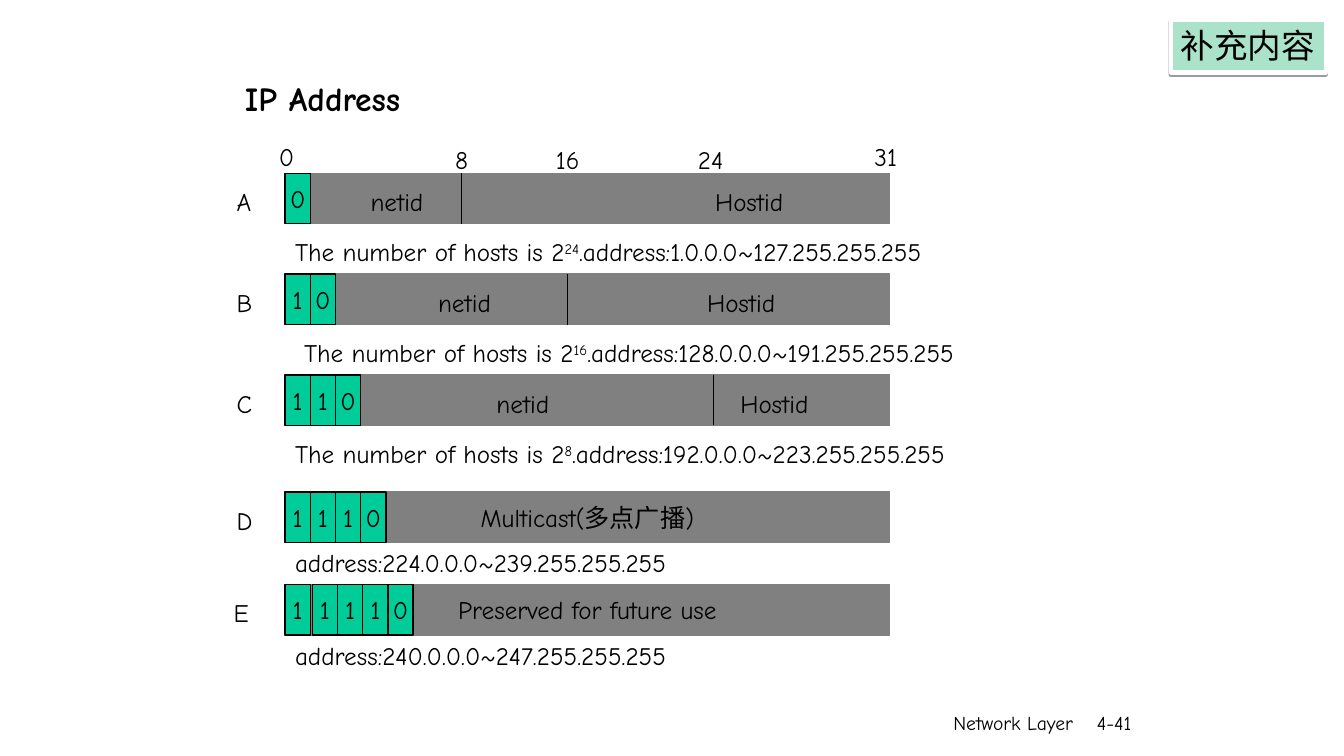
from dataclasses import dataclass

from lxml import etree
from pptx import Presentation
from pptx.dml.color import RGBColor
from pptx.enum.shapes import MSO_CONNECTOR, MSO_SHAPE
from pptx.enum.text import MSO_ANCHOR, MSO_AUTO_SIZE, PP_ALIGN
from pptx.oxml.ns import qn
from pptx.util import Inches, Pt

RECTANGLE = MSO_SHAPE.RECTANGLE
STRAIGHT = MSO_CONNECTOR.STRAIGHT
TOP, MIDDLE = MSO_ANCHOR.TOP, MSO_ANCHOR.MIDDLE
LEFT, CENTER, RIGHT = PP_ALIGN.LEFT, PP_ALIGN.CENTER, PP_ALIGN.RIGHT
NO_RESIZE = MSO_AUTO_SIZE.NONE

COLORS = {
    "text": "000000",
    "bar": "808080",
    "bit": "00CC99",
    "tag": "AAE2CA",
    "tag_line": "FFFFFF",
}
LATIN_FONT, TAG_FONT = "Comic Neue", "Arial"
BAR_LEFT, BAR_WIDTH, BAR_HEIGHT, BIT_WIDTH = 2.83, 6, 0.5, 0.25
HOSTS = "The number of hosts is 2"


@dataclass
class AddressClass:
    """One address class: its bar, prefix bits, fields and note."""
    name: str
    top: float
    bits: str
    note: list
    note_top: float
    divider: float = 0
    fields: tuple = ()
    usage: str = ""
    name_left: float = 2.25
    note_left: float = BAR_LEFT
    bit_shift: float = 0


ADDRESS_CLASSES = [
    AddressClass("A", 1.72, "0", [HOSTS, "24", ".address:1.0.0.0~127.255.255.255"], 2.3,
                 divider=4.58, fields=(("netid", 3.58), ("Hostid", 7))),
    AddressClass("B", 2.72, "10", [HOSTS, "16", ".address:128.0.0.0~191.255.255.255"], 3.3,
                 divider=5.63, fields=(("netid", 4.25), ("Hostid", 6.92)), note_left=2.92),
    AddressClass("C", 3.72, "110", [HOSTS, "8", ".address:192.0.0.0~223.255.255.255"], 4.3,
                 divider=7.08, fields=(("netid", 4.83), ("Hostid", 7.25))),
    AddressClass("D", 4.88, "1110", ["address:224.0.0.0~239.255.255.255"], 5.38,
                 usage="Multicast(多点广播)"),
    AddressClass("E", 5.8, "11110", ["address:240.0.0.0~247.255.255.255"], 6.3,
                 usage="Preserved for future use", name_left=2.22, bit_shift=0.02),
]
BIT_POSITIONS = [("0", 2.67, 1.35), ("8", 4.42, 1.38), ("16", 5.42, 1.38),
                 ("24", 6.83, 1.38), ("31", 8.58, 1.35)]


def color(name):
    """Return the named colour."""
    return RGBColor.from_string(COLORS[name])


def add_shadow(properties, distance, alpha, angle):
    """Append a hard black outer shadow to shape or run properties."""
    effects = etree.Element(qn("a:effectLst"))
    shadow = etree.SubElement(effects, qn("a:outerShdw"), blurRad="0",
                              dist=str(Pt(distance)), dir=str(angle * 60000))
    black = etree.SubElement(shadow, qn("a:srgbClr"), val=COLORS["text"])
    etree.SubElement(black, qn("a:alpha"), val=str(alpha * 1000))
    fill = properties.find(qn("a:solidFill"))
    outline = properties.find(qn("a:ln"))
    (fill if outline is None else outline).addnext(effects)


def write_text(shape, runs, size=18, align=LEFT, anchor=TOP, wrap=True, font=LATIN_FONT):
    """Write runs into a shape, raising every second one."""
    frame = shape.text_frame
    frame.word_wrap = wrap
    frame.auto_size = NO_RESIZE
    frame.vertical_anchor = anchor
    paragraph = frame.paragraphs[0]
    paragraph.alignment = align
    for index, text in enumerate(runs):
        run = paragraph.add_run()
        run.text = text
        run.font.size = Pt(size)
        run.font.name = font
        run.font.color.rgb = color("text")
        if index % 2:
            run.font._element.set("baseline", "30000")
    return paragraph


def add_label(slide, runs, left, top, width=1.5, height=0.4, **style):
    """Add a text box."""
    box = slide.shapes.add_textbox(Inches(left), Inches(top), Inches(width), Inches(height))
    write_text(box, runs, **style)


def add_box(slide, left, top, width, height, fill, line, line_width=1):
    """Add a filled and outlined rectangle."""
    box = slide.shapes.add_shape(RECTANGLE, Inches(left), Inches(top),
                                 Inches(width), Inches(height))
    box.fill.solid()
    box.fill.fore_color.rgb = color(fill)
    box.line.color.rgb = color(line)
    box.line.width = Pt(line_width)
    return box


def add_divider(slide, left, top):
    """Add the vertical line between the netid and Hostid fields."""
    divider = slide.shapes.add_connector(STRAIGHT, Inches(left), Inches(top),
                                         Inches(left), Inches(top + BAR_HEIGHT))
    divider.line.color.rgb = color("text")
    divider.line.width = Pt(1)
    etree.SubElement(divider._element.spPr, qn("a:effectLst"))


def add_title(slide):
    """Place and format the title."""
    title = slide.shapes.title
    title.left, title.top = Inches(2.33), Inches(0.72)
    title.width, title.height = Inches(3.83), Inches(0.5)
    run = write_text(title, ["IP Address"], size=24).runs[0]
    run.font.bold = True
    add_shadow(run.font._element, 2, 50, 45)


def add_address_class(slide, row):
    """Draw one address class with its name, bar, bits, fields and note."""
    bar = add_box(slide, BAR_LEFT, row.top, BAR_WIDTH, BAR_HEIGHT, "bar", "bar")
    bar.shadow.inherit = False
    if row.usage:
        write_text(bar, [row.usage], align=CENTER, anchor=MIDDLE, wrap=False)
    add_label(slide, [row.name], row.name_left, row.top + 0.08, width=1)
    for index, bit in enumerate(row.bits):
        left = BAR_LEFT + index * BIT_WIDTH + (row.bit_shift if index else 0)
        cell = add_box(slide, left, row.top, BIT_WIDTH, BAR_HEIGHT, "bit", "text")
        cell.shadow.inherit = False
        write_text(cell, [bit], align=CENTER, anchor=MIDDLE, wrap=False)
    for field, left in row.fields:
        add_label(slide, [field], left, row.top + 0.08)
    if row.divider:
        add_divider(slide, row.divider, row.top)
    add_label(slide, row.note, row.note_left, row.note_top, width=8.75)


def add_tag(slide):
    """Add the shadowed tag in the top right corner."""
    tag = add_box(slide, 11.62, 0.2, 1.54, 0.52, "tag", "tag_line", line_width=3)
    add_shadow(tag._element.spPr, 1.6, 38, 90)
    write_text(tag, ["补充内容"], size=24, wrap=False, font=TAG_FONT)


def main():
    """Build and save the slide."""
    presentation = Presentation()
    presentation.slide_width, presentation.slide_height = Inches(13.34), Inches(7.5)
    slide = presentation.slides.add_slide(presentation.slide_layouts[5])
    add_title(slide)
    for row in ADDRESS_CLASSES:
        add_address_class(slide, row)
    for position, left, top in BIT_POSITIONS:
        add_label(slide, [position], left, top)
    add_label(slide, ["Network Layer"], 7.58, 7, 3.17, 0.5, size=14, align=RIGHT)
    add_label(slide, ["4-41"], 10.59, 7, 0.74, 0.5, size=14, align=RIGHT)
    add_tag(slide)
    presentation.save("out.pptx")


if __name__ == "__main__":
    main()
